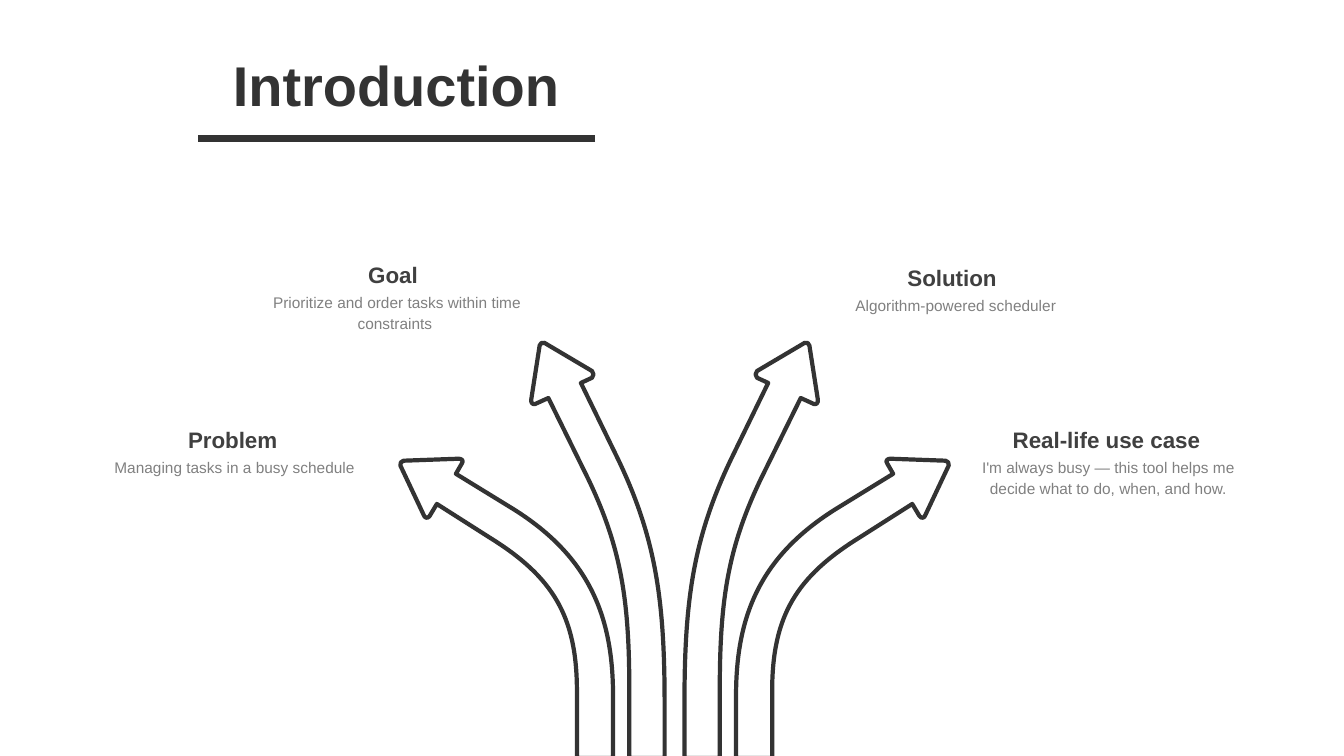
import pptx
import pptx.dml.color
import pptx.enum.text
import pptx.enum.shapes
import pptx.util
from lxml import etree

Cm, Pt = pptx.util.Cm, pptx.util.Pt
FIT = pptx.enum.text.MSO_AUTO_SIZE
qn = pptx.oxml.ns.qn
COLORS = {"ink": "333333", "head": "404040", "body": "808080"}
AXIS, BASE = 17, 19.1  # centre line and foot of the arrows, in cm

# Outlines as (distance from axis, height above base) in cm.
# One point makes a straight edge, three make a Bezier curve.
OUTER = [
    [(1.55, 0)], [(1.55, 1.57)],
    [(1.55, 3.58), (2.16, 5.08), (4.06, 6.27)],
    [(5.51, 7.16)], [(5.36, 7.42)],
    [(5.31, 7.49), (5.36, 7.54), (5.44, 7.54)],
    [(6.83, 7.49)],
    [(6.88, 7.49), (6.93, 7.42), (6.91, 7.37)],
    [(6.32, 6.12)],
    [(6.3, 6.05), (6.22, 6.02), (6.17, 6.1)],
    [(5.99, 6.4)], [(4.67, 5.56)],
    [(3.07, 4.57), (2.46, 3.58), (2.46, 1.68)],
    [(2.46, 0)],
]
INNER = [
    [(1.14, 0)], [(0.25, 0)], [(0.25, 1.35)],
    [(0.25, 3.94), (0.46, 5.51), (1.42, 7.52)],
    [(2.36, 9.45)], [(2.08, 9.58)],
    [(2.03, 9.63), (2.03, 9.7), (2.08, 9.75)],
    [(3.28, 10.46)],
    [(3.33, 10.49), (3.4, 10.44), (3.4, 10.39)],
    [(3.61, 9.04)],
    [(3.63, 8.97), (3.58, 8.89), (3.51, 8.92)],
    [(3.18, 9.07)], [(2.18, 7.04)],
    [(1.35, 5.31), (1.14, 3.99), (1.14, 1.73)],
]
# Left, top and body height in cm, then heading and body
LABELS = [
    (6.07, 6.45, 1.42, "Goal",
     " Prioritize and order tasks within time constraints"),
    (20.16, 6.54, 0.79, "Solution", " Algorithm-powered scheduler"),
    (24.05, 10.62, 1.73, "Real-life use case",
     "I'm always busy — this tool helps me decide what to do, when, and how."),
    (2.03, 10.62, 0.79, "Problem", "Managing tasks in a busy schedule"),
]


def color(name):
    return pptx.dml.color.RGBColor.from_string(COLORS[name])


def place(shape, left, top, width, height):
    shape.left, shape.top = Cm(left), Cm(top)
    shape.width, shape.height = Cm(width), Cm(height)


def write(shape, text, size, tint, bold=False, wrap=True):
    frame = shape.text_frame
    frame.text = text
    frame.word_wrap = wrap
    frame.auto_size = FIT.NONE
    frame.vertical_anchor = pptx.enum.text.MSO_ANCHOR.TOP
    para = frame.paragraphs[0]
    para.alignment = pptx.enum.text.PP_ALIGN.CENTER
    font = para.runs[0].font
    font.name, font.size, font.bold = "Arial", Pt(size), bold
    font.color.rgb = color(tint)
    return para


def add_title(slide, left, top, width, height):
    """Title with a thick rule beneath it."""
    title = slide.shapes.title
    place(title, left, top, width, height)
    write(title, "Introduction", 40, "ink", True, False)
    y = Cm(top + 2.33)
    rule = slide.shapes.add_connector(
        pptx.enum.shapes.MSO_CONNECTOR.STRAIGHT,
        Cm(left + width + 0.65), y, Cm(left - 0.63), y)
    rule.line.color.rgb = color("ink")
    rule.line.width = Pt(5)
    etree.SubElement(rule._element.spPr, qn("a:effectLst"))


def bend(arrow, outline):
    """Turn each run of three edges that stands for a curve into one."""
    edges = iter(list(arrow._element.iter(qn("a:lnTo"))))
    for part in outline[1:]:
        edge = next(edges)
        if len(part) == 3:
            edge.tag = qn("a:cubicBezTo")
            for _ in part[1:]:
                extra = next(edges)
                edge.append(extra[0])
                extra.getparent().remove(extra)


def add_arrow(slide, outline, side):
    """Curved arrow to the left (-1) or right (1) of the axis."""
    points = [(Cm(AXIS + side * out), Cm(BASE - up))
              for part in outline for out, up in part]
    pen = slide.shapes.build_freeform(*points[0])
    pen.add_line_segments(points[1:] + points[:1], close=True)
    arrow = pen.convert_to_shape()
    bend(arrow, outline)
    arrow.shadow.inherit = False
    arrow.fill.background()
    arrow.line.color.rgb = color("ink")
    arrow.line.width = Pt(3)


def add_label(slide, left, top, height, head, body):
    boxes = slide.shapes
    name = boxes.add_textbox(Cm(left + 0.51), Cm(top), Cm(6.65), Cm(0.94))
    write(name, head, 16, "head", True)
    note = boxes.add_textbox(Cm(left), Cm(top + 0.74), Cm(7.77), Cm(height))
    write(note, body, 11, "body").line_spacing = 1.14


def main():
    deck = pptx.Presentation()
    deck.slide_width, deck.slide_height = Cm(33.87), Cm(19.05)
    slide = deck.slides.add_slide(deck.slide_layouts[5])
    add_title(slide, 5.61, 1.15, 8.74, 1.96)
    for side in (-1, 1):
        for outline in (OUTER, INNER):
            add_arrow(slide, outline, side)
    for label in LABELS:
        add_label(slide, *label)
    deck.save("out.pptx")


if __name__ == "__main__":
    main()
